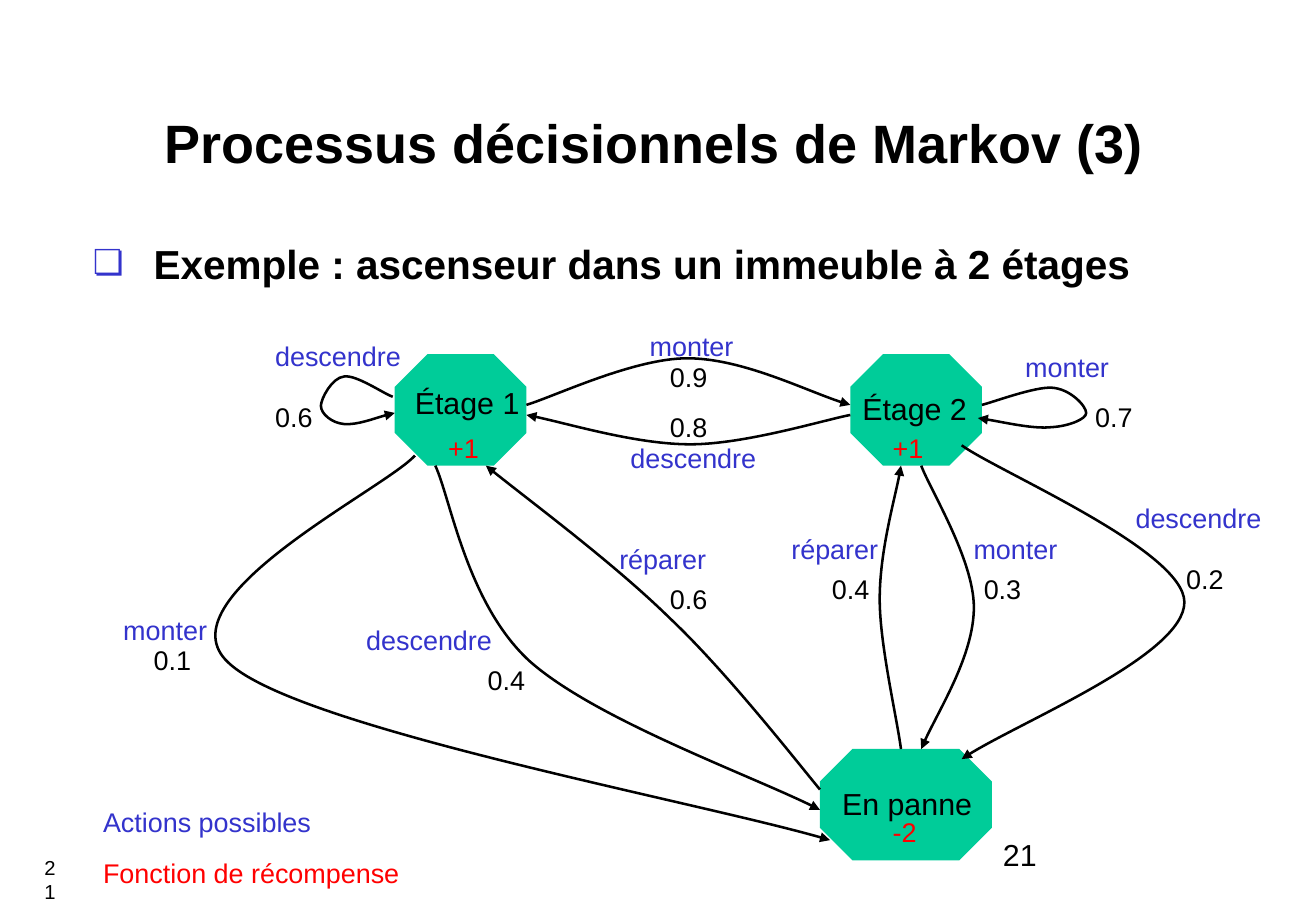
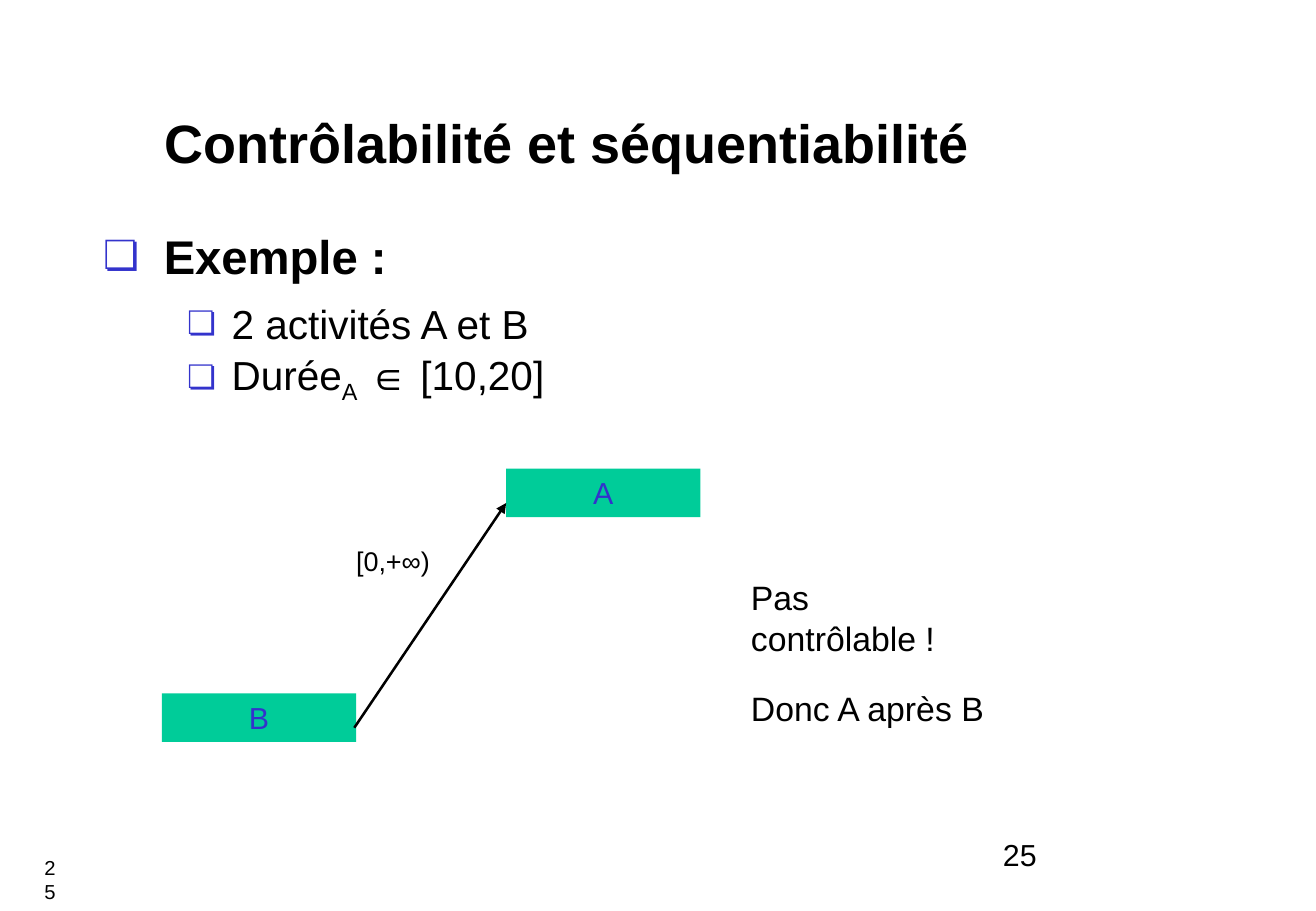
from lxml import etree
from pptx import Presentation
from pptx.dml.color import RGBColor
from pptx.enum.shapes import MSO_CONNECTOR, MSO_SHAPE
from pptx.enum.text import MSO_ANCHOR, MSO_AUTO_SIZE, PP_ALIGN
from pptx.oxml.ns import qn
from pptx.util import Pt

PX = 7620  # EMU in one px, 120 px to the inch
OCTAGON, RECTANGLE = MSO_SHAPE.OCTAGON, MSO_SHAPE.RECTANGLE
STRAIGHT = MSO_CONNECTOR.STRAIGHT
CENTER = PP_ALIGN.CENTER
TOP, MIDDLE = MSO_ANCHOR.TOP, MSO_ANCHOR.MIDDLE
FIT_SHAPE = MSO_AUTO_SIZE.SHAPE_TO_FIT_TEXT

FONT = "Arial"
BLACK, BLUE, RED, GREEN = "000000", "3333CC", "FF0000", "00CC99"


def rgb(color):
    return RGBColor.from_string(color)


def px(*lengths):
    return [length * PX for length in lengths]


class Deck:
    """Holds the style and the current slide."""

    def __init__(self, width, height):
        self.deck = Presentation()
        self.deck.slide_width, self.deck.slide_height = px(width, height)
        self.shapes = None

    def page(self, title, number):
        page = self.deck.slides.add_slide(self.deck.slide_layouts[6])
        self.shapes = page.shapes
        corner = self.box(32, 839, 29, 40)
        self.para(corner, [number], 12, align=CENTER)
        heading = self.box(151, 90, 996, 100)
        heading.vertical_anchor = MIDDLE
        self.para(heading, [title], 32, bold=True)
        self.para(self.box(979, 820, 271, 60), [number], 18)

    def box(self, left, top, width, height):
        frame = self.shapes.add_textbox(*px(left, top, width, height)).text_frame
        frame.word_wrap = True
        return frame

    def para(self, frame, runs, size, color=BLACK, bold=False, align=None,
             before=0, after=0, bullet=None):
        """Fill the empty first paragraph, or add one; a (text, baseline) run is shifted."""
        para = frame.paragraphs[0]
        if para.runs:
            para = frame.add_paragraph()
            para.space_before = Pt(before)
        para.space_after = Pt(after)
        if align is not None:
            para.alignment = align
        if bullet:
            self.bullet(para, *bullet)
        for run in runs:
            text, baseline = run if isinstance(run, tuple) else (run, 0)
            span = para.add_run()
            span.text = text
            span.font.name, span.font.size, span.font.bold = FONT, Pt(size), bold
            span.font.color.rgb = rgb(color)
            if baseline:
                span.font._element.set("baseline", str(baseline * 1000))

    def bullet(self, para, margin, hanging, percent):
        props = para._p.get_or_add_pPr()
        props.set("marL", str(margin * PX))
        props.set("indent", str(-hanging * PX))
        tint = etree.SubElement(props, qn("a:buClr"))
        etree.SubElement(tint, qn("a:srgbClr"), val=BLUE)
        etree.SubElement(props, qn("a:buSzPct"), val=str(percent * 1000))
        etree.SubElement(props, qn("a:buFont"), typeface=FONT)
        etree.SubElement(props, qn("a:buChar"), char="❏")

    def label(self, left, top, width, text, color=BLACK, size=16):
        frame = self.box(left, top, width, 48 if size == 18 else 44)
        frame.auto_size = FIT_SHAPE
        self.para(frame, [text], size, color)

    def block(self, kind, left, top, width, height, text=None):
        shape = self.shapes.add_shape(kind, *px(left, top, width, height))
        shape.shadow.inherit = False
        shape.fill.solid()
        shape.fill.fore_color.rgb = rgb(GREEN)
        shape.line.fill.background()
        if text:
            shape.text_frame.vertical_anchor = TOP
            self.para(shape.text_frame, [text], 18, BLUE, align=CENTER)

    def arrow_line(self, shape):
        shape.line.color.rgb = rgb(BLACK)
        shape.line.width = Pt(1.5)
        outline = shape._element.spPr.find(qn("a:ln"))
        etree.SubElement(outline, qn("a:tailEnd"), type="triangle")

    def curve(self, start, *points):
        """Draw a cubic curve: every three points are two handles and an end."""
        builder = self.shapes.build_freeform(*start, scale=PX)
        builder.add_line_segments(points, close=False)
        shape = builder.convert_to_shape()
        shape.shadow.inherit = False
        shape.fill.background()
        self.arrow_line(shape)
        outline = shape._element.spPr.find(".//" + qn("a:path"))
        steps = outline.findall(qn("a:lnTo"))
        for first in range(0, len(steps), 3):
            bend = etree.SubElement(outline, qn("a:cubicBezTo"))
            for step in steps[first:first + 3]:
                bend.append(step[0])
                outline.remove(step)

    def arrow(self, *ends):
        line = self.shapes.add_connector(STRAIGHT, *px(*ends))
        self.arrow_line(line)
        etree.SubElement(line._element.spPr, qn("a:effectLst"))

    def save(self):
        self.deck.save("out.pptx")


# Left, top and width of each state, then the place of its name and reward
STATES = [
    (840, 350, 130, "Étage 2", 840, 380, 136, "+1", 870, 420, 60),
    (390, 350, 130, "Étage 1", 398, 374, 136, "+1", 431, 420, 60),
    (810, 740, 170, "En panne", 820, 770, 162, "-2", 870, 800, 56),
]

TRANSITIONS = [
    # Between the two floors
    [(520, 400), (547, 392), (626, 354), (679, 354), (733, 354), (806, 391), (840, 400)],
    [(840, 410), (814, 415), (736, 439), (682, 439), (629, 439), (553, 416), (520, 410)],
    # Loops on one floor
    [(970, 400), (982, 397), (1022, 382), (1039, 383), (1057, 384), (1073, 401), (1073, 408),
     (1073, 414), (1056, 421), (1039, 422), (1021, 424), (982, 415), (966, 413)],
    [(388, 392), (379, 389), (352, 370), (340, 372), (328, 373), (317, 394), (317, 401),
     (317, 409), (328, 418), (340, 419), (353, 420), (379, 410), (390, 408)],
    # Breakdowns
    [(430, 460), (445, 492), (461, 596), (523, 653), (587, 710), (750, 769), (810, 800)],
    [(910, 460), (919, 484), (962, 553), (962, 600), (962, 647), (922, 710), (910, 740)],
    [(950, 440), (986, 466), (1170, 544), (1170, 595), (1170, 647), (996, 718), (950, 750)],
    [(410, 450), (379, 484), (157, 592), (226, 655), (294, 719), (696, 793), (820, 830)],
    # Repairs
    [(810, 780), (786, 751), (718, 664), (662, 611), (607, 557), (518, 491), (480, 460)],
    [(890, 740), (886, 709), (869, 637), (869, 592), (869, 545), (887, 482), (890, 460)],
]

# Places of each action name and of its probability
ACTION_WIDTHS = {"monter": 115, "descendre": 156, "réparer": 118}
ACTIONS = [
    ("monter", 630, 320, "0.9", 650, 350),
    ("descendre", 611, 430, "0.8", 650, 400),
    ("monter", 1001, 340, "0.7", 1070, 390),
    ("descendre", 260, 330, "0.6", 260, 390),
    ("descendre", 350, 610, "0.4", 470, 650),
    ("réparer", 600, 530, "0.6", 650, 570),
    ("réparer", 770, 520, "0.4", 810, 560),
    ("monter", 950, 520, "0.3", 960, 560),
    ("descendre", 1110, 490, "0.2", 1160, 550),
    ("monter", 110, 600, "0.1", 140, 630),
]


def markov_page(deck):
    deck.page("Processus décisionnels de Markov (3)", "21")
    body = deck.box(80, 230, 1190, 70)
    deck.para(body, ["Exemple : ascenseur dans un immeuble à 2 étages"], 24,
              bold=True, bullet=(60, 60, 85))
    # State graph
    for left, top, width, *_ in STATES:
        deck.block(OCTAGON, left, top, width, 110)
    for points in TRANSITIONS:
        deck.curve(*points)
    for _, _, _, name, x, y, width, reward, *place in STATES:
        deck.label(x, y, width, name, size=18)
        deck.label(*place, reward, RED)
    for action, x, y, chance, chance_x, chance_y in ACTIONS:
        deck.label(x, y, ACTION_WIDTHS[action], action, BLUE)
        deck.label(chance_x, chance_y, 68, chance)
    # Legend
    deck.label(90, 790, 300, "Actions possibles", BLUE)
    deck.label(90, 840, 330, "Fonction de récompense", RED)


def control_page(deck):
    deck.page("Contrôlabilité et séquentiabilité", "25")
    body = deck.box(90, 219, 1190, 581)
    deck.para(body, ["Exemple :"], 28, bold=True, after=7, bullet=(60, 60, 85))
    for runs in (["2 activités A et B"], ["Durée", ("A", -25), " ∈ [10,20]"]):
        deck.para(body, runs, 24, before=1.5, bullet=(127, 44, 80))
    # Conclusion
    remark = deck.box(730, 564, 272, 162)
    for text in ("Pas contrôlable !", "Donc A après B"):
        deck.para(remark, [text], 20, before=12.5, after=5)
    # Activities and their delay
    deck.block(RECTANGLE, 500, 463, 192, 48, "A")
    deck.block(RECTANGLE, 160, 685, 192, 48, "B")
    deck.arrow(350, 719, 500, 497)
    deck.label(340, 532, 110, "[0,+∞)")


def main():
    deck = Deck(1300, 900)
    markov_page(deck)
    control_page(deck)
    deck.save()


if __name__ == "__main__":
    main()
